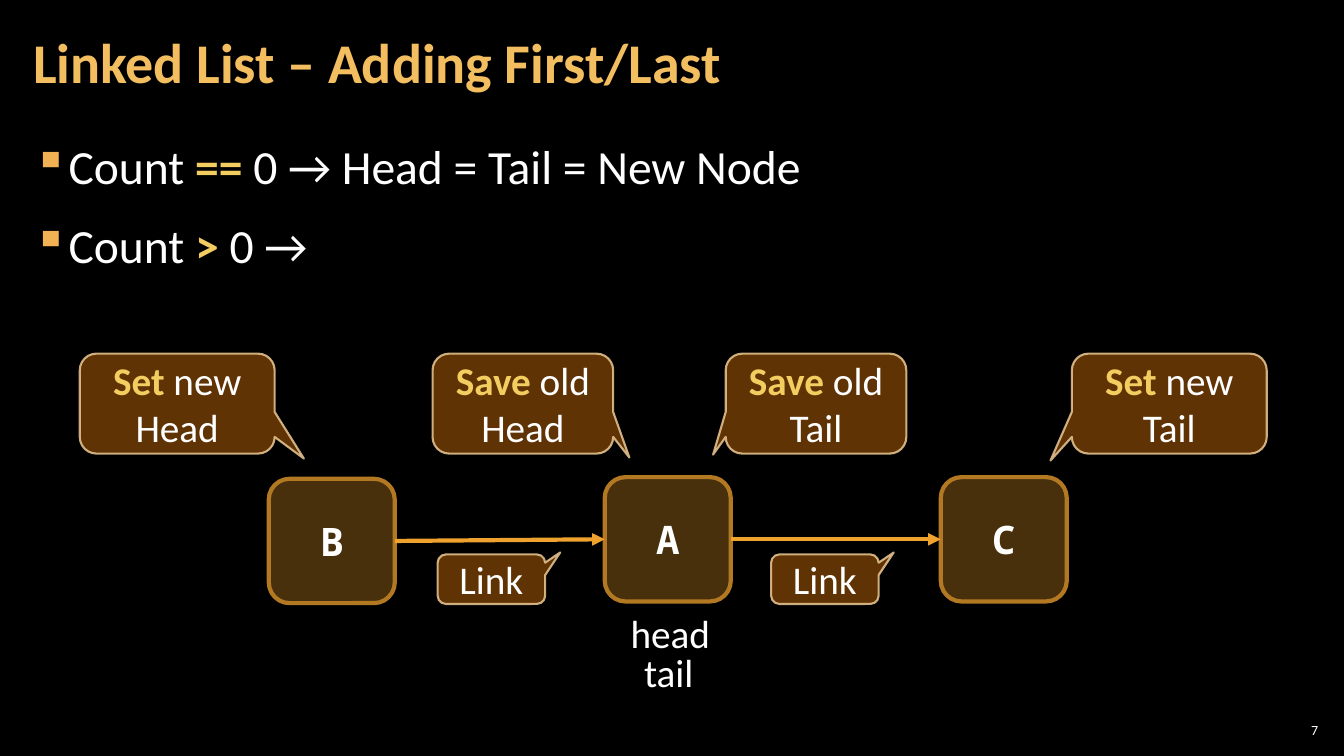
from lxml.etree import SubElement as Sub
from pptx import Presentation
from pptx.dml.color import RGBColor as RGB
from pptx.enum.shapes import MSO_CONNECTOR as Conn, MSO_SHAPE as Kind
from pptx.enum.text import MSO_ANCHOR as Anchor, PP_ALIGN as Align
from pptx.oxml.ns import qn
from pptx.util import Inches, Pt

BLACK = RGB(0x00, 0x00, 0x00)
WHITE = RGB(0xFF, 0xFF, 0xFF)
GOLD = RGB(0xF3, 0xBE, 0x60)
LEMON = RGB(0xF3, 0xCD, 0x60)
AMBER = RGB(0xF0, 0xA2, 0x2E)
HONEY = RGB(0xF2, 0xB2, 0x54)
OCHRE = RGB(0xB2, 0x78, 0x22)
BROWN = RGB(0x66, 0x36, 0x06)
CREAM = RGB(0xF8, 0xD4, 0x9E)
COLS, ROWS = 16, 9


class Deck:
    """Holds the style and the current slide, laid out on a grid of COLS by ROWS."""

    def __init__(self):
        self.prs = Presentation()
        self.prs.slide_width, self.prs.slide_height = Inches(13.33), Inches(7.5)
        self.slide = self.prs.slides.add_slide(self.prs.slide_layouts[6])
        back = self.slide.background.fill
        back.solid()
        back.fore_color.rgb = BLACK
        self.body = {"name": "Calibri", "size": Pt(28), "bold": False}
        self.code = {"name": "Noto Sans Mono", "size": Pt(28), "bold": True}
        self.pads = {"margin_left": Inches(0.12), "margin_right": Inches(0.12),
                     "margin_top": Inches(0.04), "margin_bottom": Inches(0.04)}

    def place(self, col, row, wide, high):
        x, y = self.prs.slide_width / COLS, self.prs.slide_height / ROWS
        return int(col * x), int(row * y), int(wide * x), int(high * y)

    def give(self, item, form):
        for key, value in form.items():
            setattr(item, key, value)

    def fade(self, part, share):
        tone = next(part.iter(qn("a:srgbClr")))
        Sub(tone, qn("a:alpha"), val=str(share * 1000))

    def fill_in(self, para, text, font, color=WHITE):
        for i, piece in enumerate(text.split("*")):
            if piece:
                run = para.add_run()
                run.text = piece
                self.give(run.font, font)
                run.font.color.rgb = color
                if i % 2:
                    run.font.bold = True
                    run.font.color.rgb = LEMON

    def text(self, box, lines, form, para, font, color=WHITE, mark=None):
        frame = self.slide.shapes.add_textbox(*self.place(*box)).text_frame
        self.give(frame, {"word_wrap": True, **form})
        for i, line in enumerate(lines):
            item = frame.add_paragraph() if i else frame.paragraphs[0]
            self.give(item, para)
            if mark:
                self.bullet(item, mark)
            if i == 0:
                item.space_before = Pt(0)
            self.fill_in(item, line, {**self.body, **font}, color)

    def bullet(self, para, mark):
        props = para._p.get_or_add_pPr()
        hang = Inches(0.33)
        props.set("marL", str(hang))
        props.set("indent", str(-hang))
        Sub(Sub(props, qn("a:buClr")), qn("a:srgbClr"), val=str(HONEY))
        Sub(props, qn("a:buChar"), char=mark)

    def shape(self, kind, box, text, font, fill, line):
        item = self.slide.shapes.add_shape(kind, *self.place(*box))
        item.shadow.inherit = False
        item.fill.solid()
        item.fill.fore_color.rgb, share = fill
        self.fade(item.element.spPr.find(qn("a:solidFill")), share)
        item.line.color.rgb, item.line.width = line
        frame = item.text_frame
        self.give(frame, {"word_wrap": True, "vertical_anchor": Anchor.MIDDLE})
        frame.paragraphs[0].alignment = Align.CENTER
        self.fill_in(frame.paragraphs[0], text, font)
        return item

    def node(self, col, row, name):
        return self.shape(Kind.ROUNDED_RECTANGLE, (col, row, 1.5, 1.48), name,
                          self.code, (AMBER, 30), (OCHRE, Pt(3)))

    def call(self, box, text, tip):
        item = self.shape(Kind.ROUNDED_RECTANGULAR_CALLOUT, box, text,
                          self.body, (BROWN, 95), (CREAM, Pt(1.5)))
        self.fade(item.element.spPr.find(qn("a:ln")), 80)
        for i, value in enumerate(tip):
            item.adjustments[i] = value

    def link(self, start, end):
        item = self.slide.shapes.add_connector(Conn.STRAIGHT, 0, 0, 0, 0)
        item.begin_connect(start, 3)
        item.end_connect(end, 1)
        item.line.color.rgb, item.line.width = AMBER, Pt(3)
        props = item.element.spPr
        Sub(props.find(qn("a:ln")), qn("a:tailEnd"), type="triangle")
        Sub(props, qn("a:effectLst"))


def main():
    deck = Deck()
    middle = {"vertical_anchor": Anchor.MIDDLE}
    deck.text((0.25, 0.05, 12.56, 1.45), ["Linked List – Adding First/Last"],
              {**deck.pads, **middle}, {"line_spacing": 0.9},
              {"size": Pt(40), "bold": True}, GOLD)
    deck.text((0.25, 1.51, 15.5, 7.31),
              ["Count *==* 0 → Head = Tail = New Node", "Count *>* 0 →"], deck.pads,
              {"line_spacing": 1.1, "space_before": Pt(6), "space_after": Pt(6)},
              {"size": Pt(34)}, mark="▪")
    slim = dict.fromkeys(deck.pads, Inches(0.04))
    deck.text((15.18, 8.57, 0.56, 0.25), ["7"], {**slim, **middle},
              {"alignment": Align.RIGHT}, {"size": Pt(10)})

    nodes = [deck.node(3.2 + 4 * i, row, name)
             for i, (name, row) in enumerate([("B", 5.7), ("A", 5.68), ("C", 5.68)])]
    for start, end in zip(nodes, nodes[1:]):
        deck.link(start, end)

    for col, wide, text, tip in [
        (0.95, 2.32, "*Set* new Head", (0.65, 0.55)),
        (5.15, 2.15, "*Save* old Head", (0.59, 0.54)),
        (8.64, 2.15, "*Save* old Tail", (-0.57, 0.51)),
        (12.76, 2.32, "*Set* new Tail", (-0.61, 0.57)),
    ]:
        deck.call((col, 4.21, wide, 1.19), text, tip)
    for col in (5.21, 9.18):
        deck.call((col, 6.6, 1.28, 0.59), "Link", (0.64, -0.54))

    for col, row, wide, text in [(7.39, 7.2, 1.2, "head"), (7.55, 7.66, 0.84, "tail")]:
        deck.text((col, row, wide, 0.68), [text], {"word_wrap": False}, {}, {})
    deck.prs.save("out.pptx")


if __name__ == "__main__":
    main()
